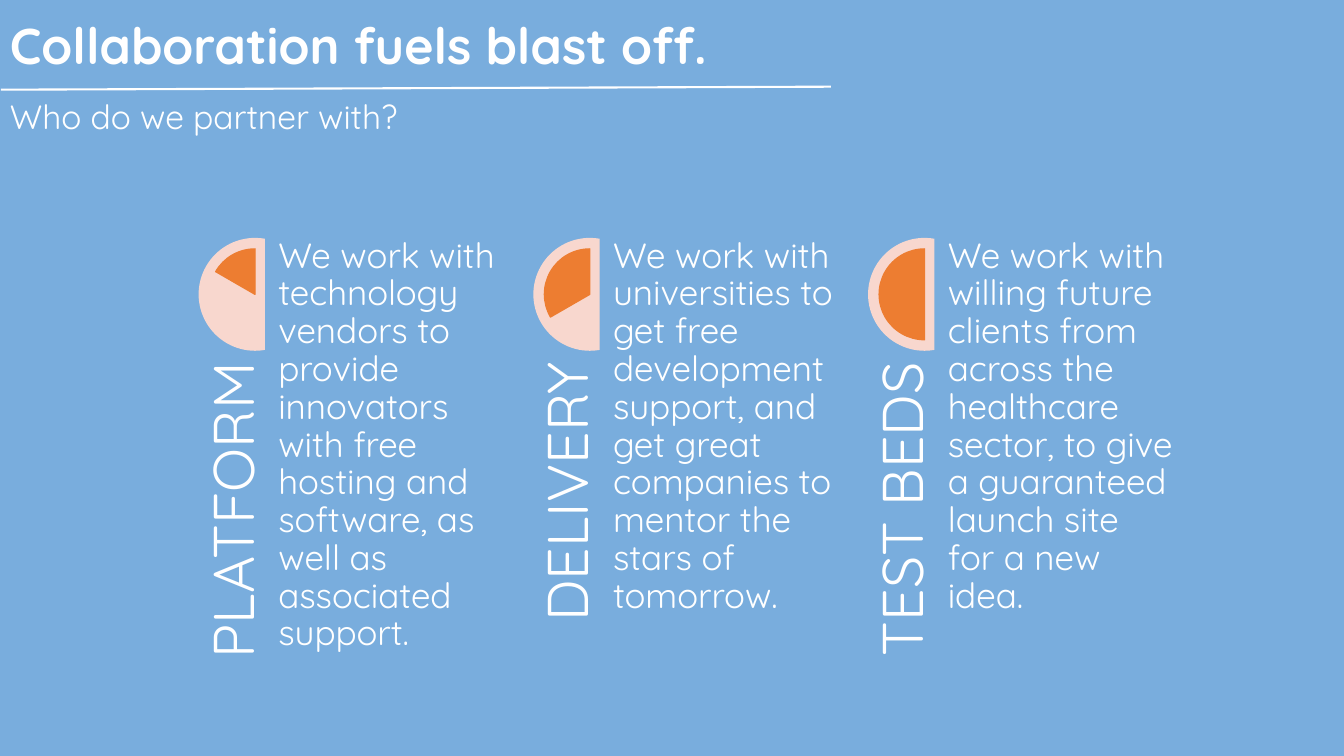
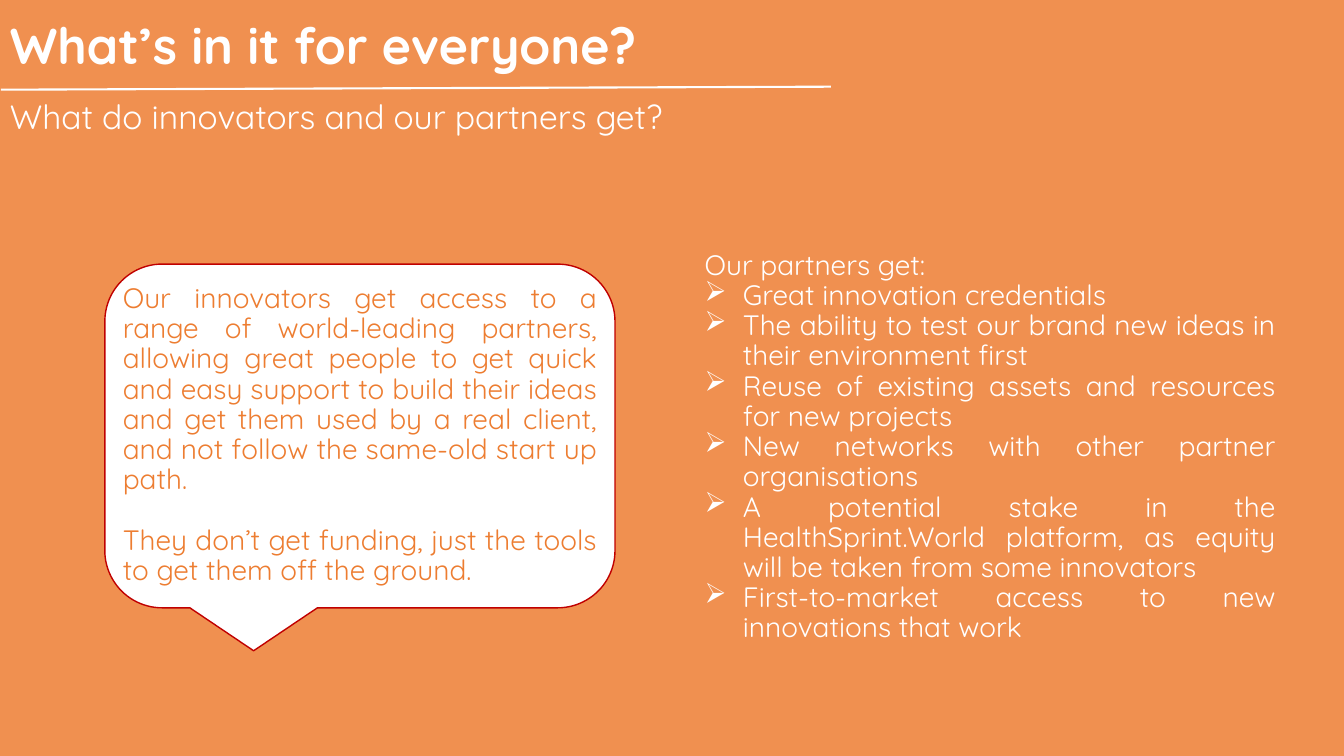
from dataclasses import dataclass

from lxml.etree import SubElement
from pptx import Presentation
from pptx.dml.color import RGBColor
from pptx.enum.shapes import MSO_CONNECTOR as Line, MSO_SHAPE as Shape
from pptx.enum.text import MSO_ANCHOR as Anchor, PP_ALIGN as Align
from pptx.oxml.ns import qn
from pptx.util import Inches, Pt


@dataclass(frozen=True)
class Theme:
    font: str = "Quicksand"
    white: str = "FFFFFF"
    blue: str = "79ADDD"
    apricot: str = "F09050"
    orange: str = "ED7D31"
    blush: str = "F8D7CE"
    red: str = "C00000"
    title: int = 36
    subtitle: int = 24
    label: int = 41
    column: int = 25
    body: int = 20
    leading: float = 0.9
    rule: float = 1.5
    outline: float = 1


T = Theme()
W, H = 13.33, 7.5

PARTNERS = {
    "title": "Collaboration fuels blast off.",
    "subtitle": "Who do we partner with?",
    "columns": [
        ("PLATFORM", "We work with technology vendors to provide innovators with free "
         "hosting and software, as well as associated support."),
        ("DELIVERY", "We work with universities to get free development support, and get "
         "great companies to mentor the stars of tomorrow."),
        ("TEST BEDS", "We work with willing future clients from across the healthcare "
         "sector, to give a guaranteed launch site for a new idea."),
    ],
}
BENEFITS = {
    "title": "What’s in it for everyone?",
    "subtitle": "What do innovators and our partners get?",
    "innovators": [
        "Our innovators get access to a range of world-leading partners, allowing great "
        "people to get quick and easy support to build their ideas and get them used by a "
        "real client, and not follow the same-old start up path.",
        "They don’t get funding, just the tools to get them off the ground.",
    ],
    "lead": "Our partners get:",
    "partners": [
        "Great innovation credentials",
        "The ability to test our brand new ideas in their environment first",
        "Reuse of existing assets and resources for new projects",
        "New networks with other partner organisations",
        "A potential stake in the HealthSprint.World platform, as equity will be taken "
        "from some innovators",
        "First-to-market access to new innovations that work",
    ],
}

COLUMN_LEFT, COLUMN_TOP, COLUMN_PITCH = 1.97, 2.36, 3.32
DISC, DISC_MARGIN = 1.12, 0.11
LABEL_W, LABEL_H = 3.26, 0.67
ANGLE_UNIT = 0.6


def rgb(code):
    return RGBColor.from_string(code)


def add_bullet(p, char="➢", indent=0.38):
    pPr = p._p.get_or_add_pPr()
    pPr.set("marL", str(Inches(indent)))
    pPr.set("indent", str(-Inches(indent)))
    SubElement(pPr, qn("a:buChar")).set("char", char)


def add_text(s, paragraphs, box, size=T.body, color=T.white, bold=False, align=Align.LEFT,
             anchor=Anchor.TOP, inset=True, rotation=0, gap=0, bullets_from=None):
    sp = s.shapes.add_textbox(*map(Inches, box))
    sp.rotation = rotation
    tf = sp.text_frame
    tf.word_wrap = True
    tf.vertical_anchor = anchor
    if not inset:
        tf.margin_left = tf.margin_right = tf.margin_top = tf.margin_bottom = 0
    for i, text in enumerate(paragraphs):
        p = tf.paragraphs[0] if i == 0 else tf.add_paragraph()
        p.alignment = align
        p.line_spacing = T.leading
        p.space_after = Pt(gap)
        if bullets_from is not None and i >= bullets_from:
            add_bullet(p)
        r = p.add_run()
        r.text = text
        r.font.name = T.font
        r.font.size = Pt(size)
        r.font.bold = bold
        r.font.color.rgb = rgb(color)
    return sp


def add_figure(s, kind, box, fill, line=None, angles=()):
    sp = s.shapes.add_shape(kind, *map(Inches, box))
    sp.shadow.inherit = False
    sp.fill.solid()
    sp.fill.fore_color.rgb = rgb(fill)
    if line:
        sp.line.color.rgb = rgb(line)
        sp.line.width = Pt(T.outline)
    else:
        sp.line.fill.background()
    for i, degrees in enumerate(angles):
        sp.adjustments[i] = degrees * ANGLE_UNIT
    return sp


def add_page(prs, content, background):
    s = prs.slides.add_slide(prs.slide_layouts[6])
    s.background.fill.solid()
    s.background.fill.fore_color.rgb = rgb(background)
    rule = s.shapes.add_connector(Line.STRAIGHT, *map(Inches, (0.01, 0.89, 8.24, 0.86)))
    rule.line.color.rgb = rgb(T.white)
    rule.line.width = Pt(T.rule)
    SubElement(rule._element.spPr, qn("a:effectLst"))
    add_text(s, [content["title"]], (0, 0.16, 8.53, 0.69), size=T.title, bold=True)
    add_text(s, [content["subtitle"]], (0, 0.95, 8.84, 0.66), size=T.subtitle,
             align=Align.JUSTIFY)
    return s


def add_partner_column(s, index, count, label, text):
    x = COLUMN_LEFT + index * COLUMN_PITCH
    inner = DISC - 2 * DISC_MARGIN
    start = 270 - 180 * (index + 1) / count
    add_figure(s, Shape.CHORD, (x, COLUMN_TOP, DISC, DISC), T.blush, angles=(80, 280))
    add_figure(s, Shape.PIE, (x + DISC_MARGIN, COLUMN_TOP + DISC_MARGIN, inner, inner),
               T.orange, line=T.orange, angles=(start, 270))
    add_text(s, [label], (x + 0.34 - LABEL_W / 2, 4.89, LABEL_W, LABEL_H), size=T.label,
             align=Align.RIGHT, anchor=Anchor.BOTTOM, inset=False, rotation=270)
    add_text(s, [text], (x + 0.79, COLUMN_TOP, 2.25, 4.49), size=T.column, inset=False)


def build_partners(prs):
    s = add_page(prs, PARTNERS, T.blue)
    columns = PARTNERS["columns"]
    for i, (label, text) in enumerate(columns):
        add_partner_column(s, i, len(columns), label, text)


def build_benefits(prs):
    s = add_page(prs, BENEFITS, T.apricot)
    add_figure(s, Shape.ROUNDED_RECTANGULAR_CALLOUT, (1.04, 2.62, 5.06, 3.41), T.white,
               line=T.red)
    add_text(s, BENEFITS["innovators"], (1.12, 2.77, 4.9, 2.71), color=T.orange,
             align=Align.JUSTIFY, gap=21.6)
    add_text(s, [BENEFITS["lead"], *BENEFITS["partners"]], (6.89, 2.44, 5.86, 4),
             align=Align.JUSTIFY, bullets_from=1)


def main():
    prs = Presentation()
    prs.slide_width, prs.slide_height = Inches(W), Inches(H)
    build_partners(prs)
    build_benefits(prs)
    prs.save("out.pptx")


if __name__ == "__main__":
    main()
